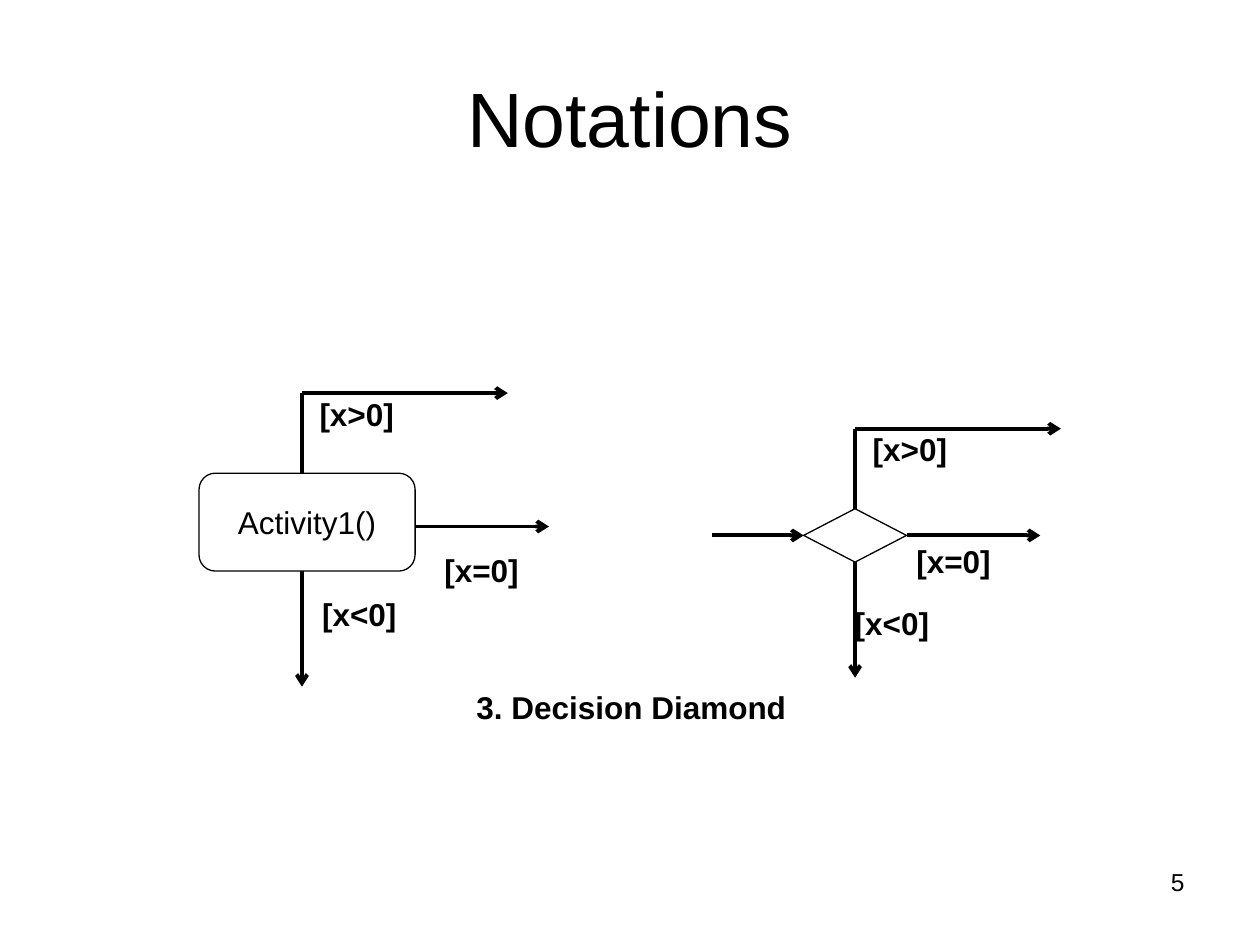
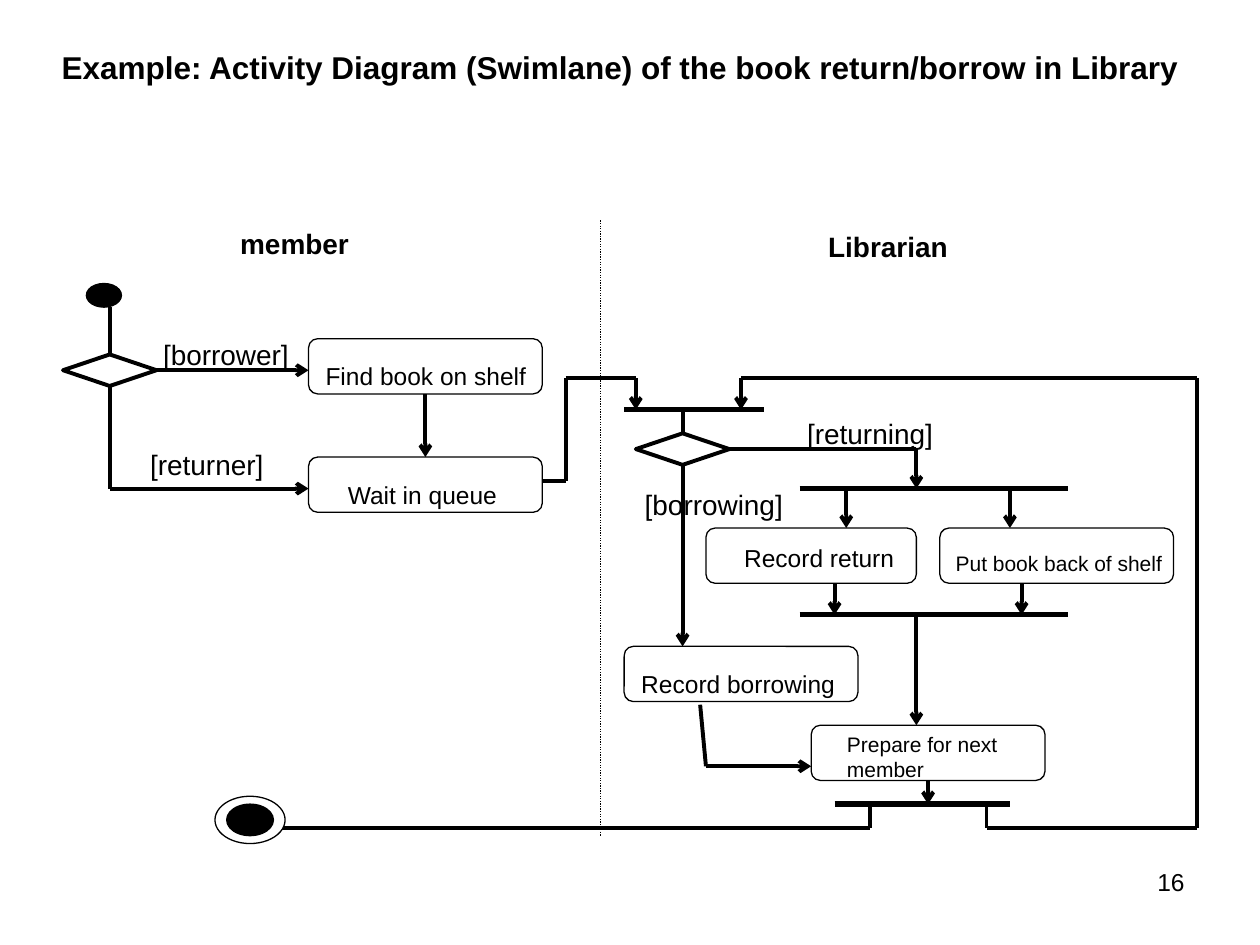
import pptx
import pptx.util
import pptx.dml.color
import pptx.enum.dml
import pptx.enum.shapes
import pptx.enum.text
import pptx.oxml
import pptx.oxml.ns

INK = {name: pptx.dml.color.RGBColor.from_string(code)
       for name, code in {"black": "000000", "white": "FFFFFF"}.items()}
FONT = "Arial"
KIND = pptx.enum.shapes.MSO_SHAPE
ALIGN = pptx.enum.text.PP_ALIGN
MID = pptx.enum.text.MSO_ANCHOR.MIDDLE
TOP = pptx.enum.text.MSO_ANCHOR.TOP
THIN, MAIN, BAR = 0.75, 2.25, 3
Inch = pptx.util.Inches
WIDE, HIGH = 10, 7.5


def write(page, box, text, size, bold=False, align=ALIGN.LEFT, wrap=False, anchor=TOP):
    frame = page.shapes.add_textbox(*map(Inch, box)).text_frame
    frame.word_wrap = wrap
    frame.vertical_anchor = anchor
    if anchor == TOP:
        frame.auto_size = pptx.enum.text.MSO_AUTO_SIZE.SHAPE_TO_FIT_TEXT
    frame.text = text
    for para in frame.paragraphs:
        para.alignment = align
        para.font.name = FONT
        para.font.size = pptx.util.Pt(size)
        para.font.bold = bold
        para.font.color.rgb = INK["black"]


def trace(page, dots, width, arrow=False, dash=None):
    for start, end in zip(dots, dots[1:]):
        line = page.shapes.add_connector(
            pptx.enum.shapes.MSO_CONNECTOR.STRAIGHT, *map(Inch, start + end))
        line.line.color.rgb = INK["black"]
        line.line.width = pptx.util.Pt(width)
        if dash:
            line.line.dash_style = dash
        props = line._element.spPr
        if arrow and end == dots[-1]:
            tip = pptx.oxml.parse_xml(
                f'<a:tailEnd {pptx.oxml.ns.nsdecls("a")} type="arrow"/>')
            props.find(pptx.oxml.ns.qn("a:ln")).append(tip)
        props.append(pptx.oxml.parse_xml(
            f'<a:effectLst {pptx.oxml.ns.nsdecls("a")}/>'))


note = {
    "number": "5",
    "grid": (1.58, 3.12, 6.84 / 67, 2.33 / 33),
    "title": ("Notations", (0.05, 0.04, 0.9, 0.167), 44, False, ALIGN.CENTER, True, MID),
    "arrows": [
        [(8, 20), (8, 33)],
        [(8, 9), (8, 0), (24, 0)],
        [(16.8, 15), (27.2, 15)],
        [(51, 13), (51, 4), (67, 4)],
        [(55, 16), (65.4, 16)],
        [(51, 19), (51, 32)],
        [(39.9, 16), (47, 16)],
    ],
    "lines": [],
    "bars": [],
    "lanes": [],
    "forms": [
        (KIND.ROUNDED_RECTANGLE, (0, 9, 16.8, 11), "white", THIN),
        (KIND.DIAMOND, (47, 13, 8, 6), "white", THIN),
    ],
    "words": [
        ((0, 9, 16.8, 11), "Activity1()", 18, False, ALIGN.CENTER, False, MID),
        ((8.4, -0.5, 7.8, 5.7), "[x>0]", 18, True),
        ((18.1, 17, 7.8, 5.7), "[x=0]", 18, True),
        ((8.6, 22, 7.8, 5.7), "[x<0]", 18, True),
        ((51.4, 3.5, 7.8, 5.7), "[x>0]", 18, True),
        ((54.8, 16, 7.8, 5.7), "[x=0]", 18, True),
        ((50.0, 23, 7.8, 5.7), "[x<0]", 18, True),
        ((20.6, 32.5, 26.1, 5.7), "3. Decision Diamond", 18, True),
    ],
}

swim = {
    "number": "16",
    "grid": (0.5, 2.25, 9 / 97, 4.32 / 69),
    "title": ("Example: Activity Diagram (Swimlane) of the book return/borrow in Library",
              (0.039, 0.044, 0.911, 0.053), 18, True, ALIGN.LEFT, True, TOP),
    "arrows": [
        [(7, 11), (21, 11)],
        [(4, 13), (4, 26), (21, 26)],
        [(31, 14), (31, 22)],
        [(41, 25), (43, 25), (43, 12), (49, 12), (49, 16)],
        [(79, 66), (79, 69), (97, 69), (97, 12), (58, 12), (58, 16)],
        [(57, 21), (73, 21), (73, 26)],
        [(53, 23), (53, 46)],
        [(67, 26), (67, 31)],
        [(81, 26), (81, 31)],
        [(66, 38), (66, 42)],
        [(82, 38), (82, 42)],
        [(73, 42), (73, 56)],
        [(74, 63), (74, 66)],
        [(54.5, 53.4), (55, 61.2), (64, 61.2)],
    ],
    "lines": [
        [(4, 9), (4, 3)],
        [(53, 16), (53, 19)],
        [(69, 66), (69, 69), (18, 69)],
    ],
    "bars": [
        [(48, 16), (60, 16)],
        [(63, 26), (86, 26)],
        [(63, 42), (86, 42)],
        [(66, 66), (81, 66)],
    ],
    "lanes": [[(46, -8), (46, 70)]],
    "forms": [
        (KIND.OVAL, (2, 0, 3, 3), "black", THIN),
        (KIND.OVAL, (13, 65, 6, 6), "white", THIN),
        (KIND.OVAL, (14, 66, 4, 4), "black", THIN),
        (KIND.DIAMOND, (0, 9, 8, 4), "white", MAIN),
        (KIND.DIAMOND, (49, 19, 8, 4), "white", MAIN),
    ] + [
        (KIND.ROUNDED_RECTANGLE, (col, row, span, 7), "white", THIN)
        for col, row, span in [(21, 7, 20), (21, 22, 20), (55, 31, 18),
                               (75, 31, 20), (48, 46, 20), (64, 56, 20)]
    ],
    "words": [
        ((14.1, -8, 11.5, 5.9), "member", 16, True),
        ((64.4, -7.6, 12.4, 5.9), "Librarian", 16, True),
        ((7.5, 6.1, 13, 5.9), "[borrower]", 16),
        ((6.4, 20, 11.9, 5.9), "[returner]", 16),
        ((62.6, 16.1, 13, 5.9), "[returning]", 16),
        ((48.7, 25.1, 14, 5.9), "[borrowing]", 16),
        ((21.4, 9, 19.3, 5.4), "Find book on shelf", 14),
        ((23.3, 24.1, 15, 5.4), "Wait in queue", 14),
        ((57.2, 32.1, 15, 5.4), "Record return", 14),
        ((75.3, 33.1, 19.8, 4.8), "Put book back of shelf", 12),
        ((48.4, 48.1, 18.8, 5.4), "Record borrowing", 14),
        ((66, 56, 20, 8), "Prepare for next\nmember", 12, False, ALIGN.LEFT, True),
    ],
}

deck = pptx.Presentation()
deck.slide_width, deck.slide_height = Inch(WIDE), Inch(HIGH)

for plan in (note, swim):
    page = deck.slides.add_slide(deck.slide_layouts[6])
    left, top, col, row = plan["grid"]

    text, (x, y, w, h), *style = plan["title"]
    write(page, (x * WIDE, y * HIGH, w * WIDE, h * HIGH), text, *style)
    write(page, (0.717 * WIDE, 0.911 * HIGH, 0.233 * WIDE, 0.07 * HIGH),
          plan["number"], 14, False, ALIGN.RIGHT, True)

    for name, width, arrow, dash in [
        ("lanes", THIN, False, pptx.enum.dml.MSO_LINE.ROUND_DOT),
        ("lines", MAIN, False, None),
        ("arrows", MAIN, True, None),
        ("bars", BAR, False, None),
    ]:
        for route in plan[name]:
            dots = [(left + x * col, top + y * row) for x, y in route]
            trace(page, dots, width, arrow, dash)

    for kind, (x, y, w, h), fill, width in plan["forms"]:
        form = page.shapes.add_shape(
            kind, *map(Inch, (left + x * col, top + y * row, w * col, h * row)))
        form.shadow.inherit = False
        form.fill.solid()
        form.fill.fore_color.rgb = INK[fill]
        form.line.color.rgb = INK["black"]
        form.line.width = pptx.util.Pt(width)

    for (x, y, w, h), *rest in plan["words"]:
        write(page, (left + x * col, top + y * row, w * col, h * row), *rest)

deck.save("out.pptx")
